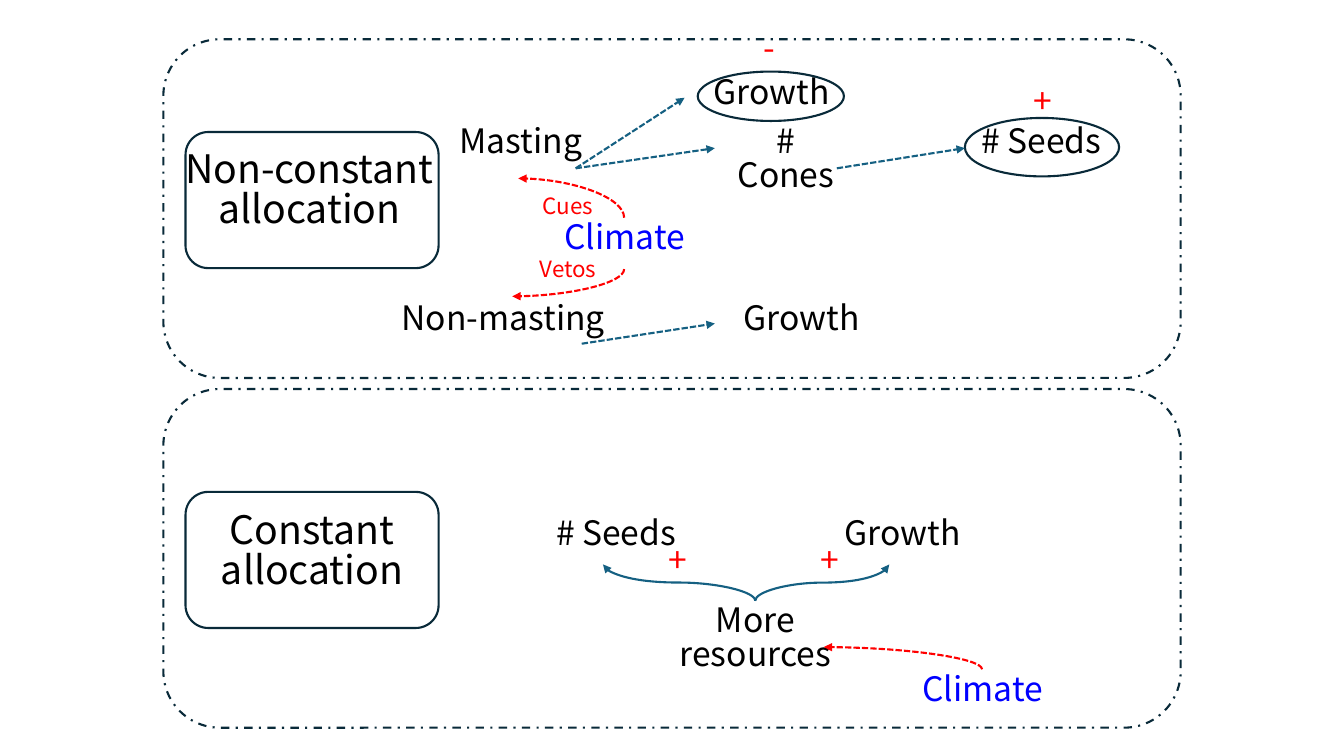
from lxml import etree
from pptx import Presentation
from pptx.dml.color import RGBColor
from pptx.enum.dml import MSO_LINE_DASH_STYLE as DASH
from pptx.enum.shapes import MSO_CONNECTOR as CONNECTOR, MSO_SHAPE as SHAPE
from pptx.enum.text import PP_ALIGN as ALIGN
from pptx.oxml.ns import qn
from pptx.util import Pt

PX = 9144  # 100 px to the inch
FONT = "Noto Sans CJK SC"
LINE_SPACING = 0.84
COLORS = {
    "text": "000000",
    "outline": "092A39",
    "flow": "156082",
    "effect": "FF0000",
    "climate": "0000FF",
}
PANEL_LEFT, PANEL_WIDTH, PANEL_HEIGHT = 162, 1009, 336


def rgb(name):
    return RGBColor.from_string(COLORS[name])


def add_label(slide, panel, box, text, color="text", size=24, align=ALIGN.CENTER):
    left, top, width, height = box
    label = slide.shapes.add_textbox(
        (panel[0] + left) * PX, (panel[1] + top) * PX, width * PX, height * PX)
    frame = label.text_frame
    frame.word_wrap = True
    frame.text = text
    for para in frame.paragraphs:
        para.alignment = align
        para.line_spacing = LINE_SPACING
        para.font.name = FONT
        para.font.size = Pt(size)
        para.font.color.rgb = rgb(color)


def add_sign(slide, panel, left, top, sign):
    add_label(slide, panel, (left, top, 25, 50), sign, "effect", align=ALIGN.LEFT)


def add_outline(slide, panel, box, kind, dash=None):
    left, top, width, height = box
    outline = slide.shapes.add_shape(
        kind, (panel[0] + left) * PX, (panel[1] + top) * PX, width * PX, height * PX)
    outline.shadow.inherit = False
    outline.fill.background()
    outline.line.color.rgb = rgb("outline")
    outline.line.width = Pt(1.5)
    if dash:
        outline.line.dash_style = dash


def style_arrow(arrow, color, dashed):
    arrow.line.color.rgb = rgb(color)
    arrow.line.width = Pt(1.5)
    if dashed:
        arrow.line.dash_style = DASH.SQUARE_DOT
    line = arrow.line._get_or_add_ln()
    etree.SubElement(line, qn("a:tailEnd"), type="triangle")
    etree.SubElement(arrow.element.spPr, qn("a:effectLst"))


def add_straight_arrow(slide, panel, start, end):
    points = [(panel[i % 2] + value) * PX for i, value in enumerate(start + end)]
    arrow = slide.shapes.add_connector(CONNECTOR.STRAIGHT, *points)
    style_arrow(arrow, "flow", True)


def add_curved_arrow(slide, panel, start, end, color, preset, dashed):
    """Draw a curve that leaves its start vertically, by turning a horizontal one."""
    run, rise = end[0] - start[0], end[1] - start[1]
    center_x = (panel[0] + (start[0] + end[0]) / 2) * PX
    center_y = (panel[1] + (start[1] + end[1]) / 2) * PX
    half_width = abs(rise) * PX / 2
    half_height = run * PX / 2 * (1 if rise < 0 else -1)
    arrow = slide.shapes.add_connector(
        CONNECTOR.CURVE,
        round(center_x - half_width), round(center_y - half_height),
        round(center_x + half_width), round(center_y + half_height))
    properties = arrow.element.spPr
    turn = 270 if rise < 0 else 90
    properties.find(qn("a:xfrm")).set("rot", str(turn * 60000))
    properties.find(qn("a:prstGeom")).set("prst", preset)
    style_arrow(arrow, color, dashed)


def add_climate_arrow(slide, panel, start, end):
    add_curved_arrow(slide, panel, start, end, "effect", "curvedConnector2", True)


def add_panel_frame(slide, panel, heading, heading_box, heading_top):
    add_outline(slide, panel, (0, 0, PANEL_WIDTH, PANEL_HEIGHT),
                SHAPE.ROUNDED_RECTANGLE, DASH.DASH_DOT)
    add_outline(slide, panel, (22, heading_top, 251, 135), SHAPE.ROUNDED_RECTANGLE)
    add_label(slide, panel, heading_box, heading, size=28)


def add_non_constant_panel(slide, panel):
    add_panel_frame(slide, panel, "Non-constant\nallocation", (8, 107, 274, 104), 92)
    for text, box in (
        ("Masting", (278, 82, 153, 50)),
        ("Non-masting", (226, 257, 222, 50)),
        ("# Cones", (547, 82, 141, 50)),
        ("# Seeds", (785, 82, 172, 50)),
        ("Growth", (517, 33, 172, 50)),
        ("Growth", (547, 257, 172, 50)),
    ):
        add_label(slide, panel, box, text)
    add_outline(slide, panel, (530, 32, 145, 49), SHAPE.OVAL)
    add_outline(slide, panel, (795, 78, 153, 58), SHAPE.OVAL)
    add_sign(slide, panel, 585, -11, "-")
    add_sign(slide, panel, 853, 42, "+")
    for start, end in (
        ((409, 128), (547, 108)),
        ((668, 128), (795, 108)),
        ((409, 128), (517, 58)),
        ((415, 302), (547, 282)),
    ):
        add_straight_arrow(slide, panel, start, end)
    for text, top in (("Cues", 151), ("Vetos", 213)):
        add_label(slide, panel, (325, top, 153, 37), text, "effect", 16)
    add_label(slide, panel, (378, 177, 159, 50), "Climate", "climate")
    add_climate_arrow(slide, panel, (457, 177), (352, 138))
    add_climate_arrow(slide, panel, (457, 228), (346, 255))


def add_constant_panel(slide, panel):
    add_panel_frame(slide, panel, "Constant\nallocation", (38, 118, 219, 104), 102)
    for text, box in (
        ("# Seeds", (363, 123, 172, 50)),
        ("Growth", (647, 123, 172, 50)),
        ("More resources", (491, 210, 192, 91)),
    ):
        add_label(slide, panel, box, text)
    for target in ((436, 174), (720, 174)):
        add_curved_arrow(slide, panel, (587, 210), target, "flow",
                         "curvedConnector3", False)
    for left in (491, 642):
        add_sign(slide, panel, left, 150, "+")
    add_label(slide, panel, (733, 278, 159, 50), "Climate", "climate")
    add_climate_arrow(slide, panel, (812, 278), (655, 256))


def main():
    deck = Presentation()
    deck.slide_width, deck.slide_height = 1333 * PX, 750 * PX
    slide = deck.slides.add_slide(deck.slide_layouts[6])
    add_non_constant_panel(slide, (PANEL_LEFT, 39))
    add_constant_panel(slide, (PANEL_LEFT, 386))
    deck.save("out.pptx")


if __name__ == "__main__":
    main()
